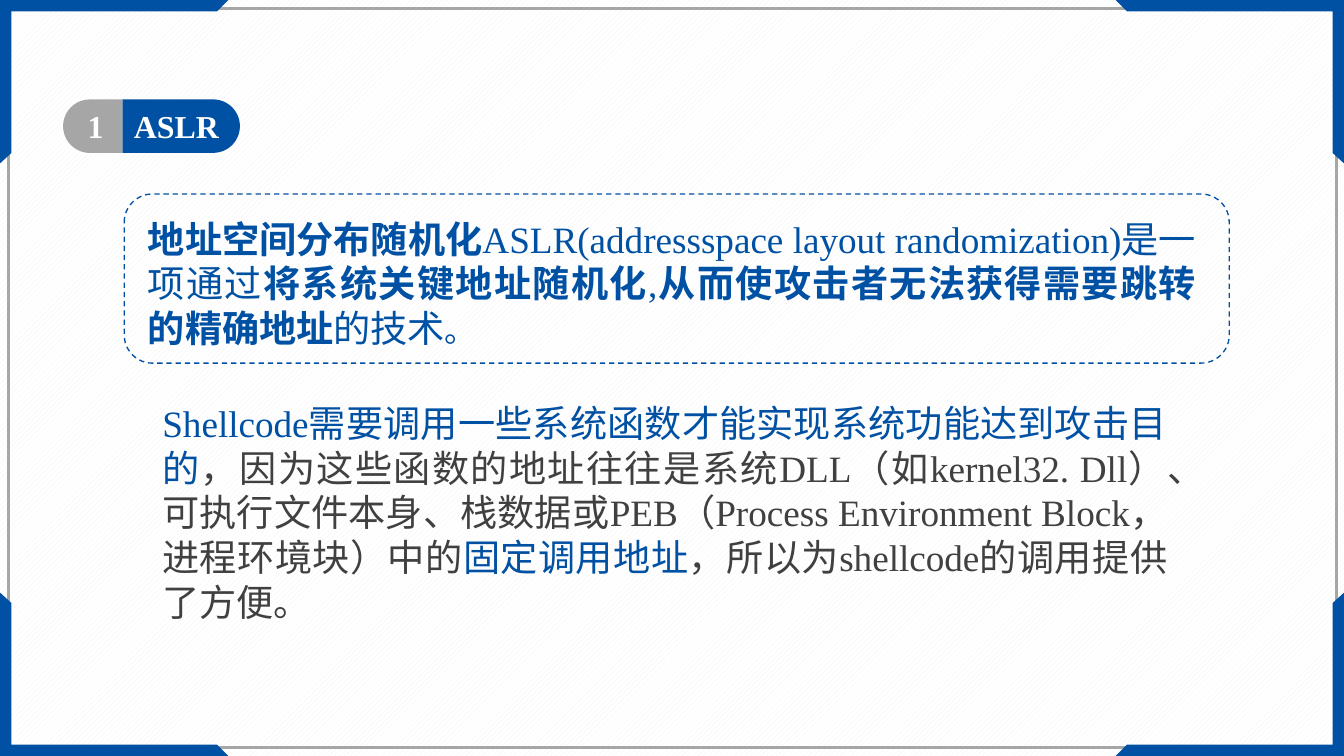
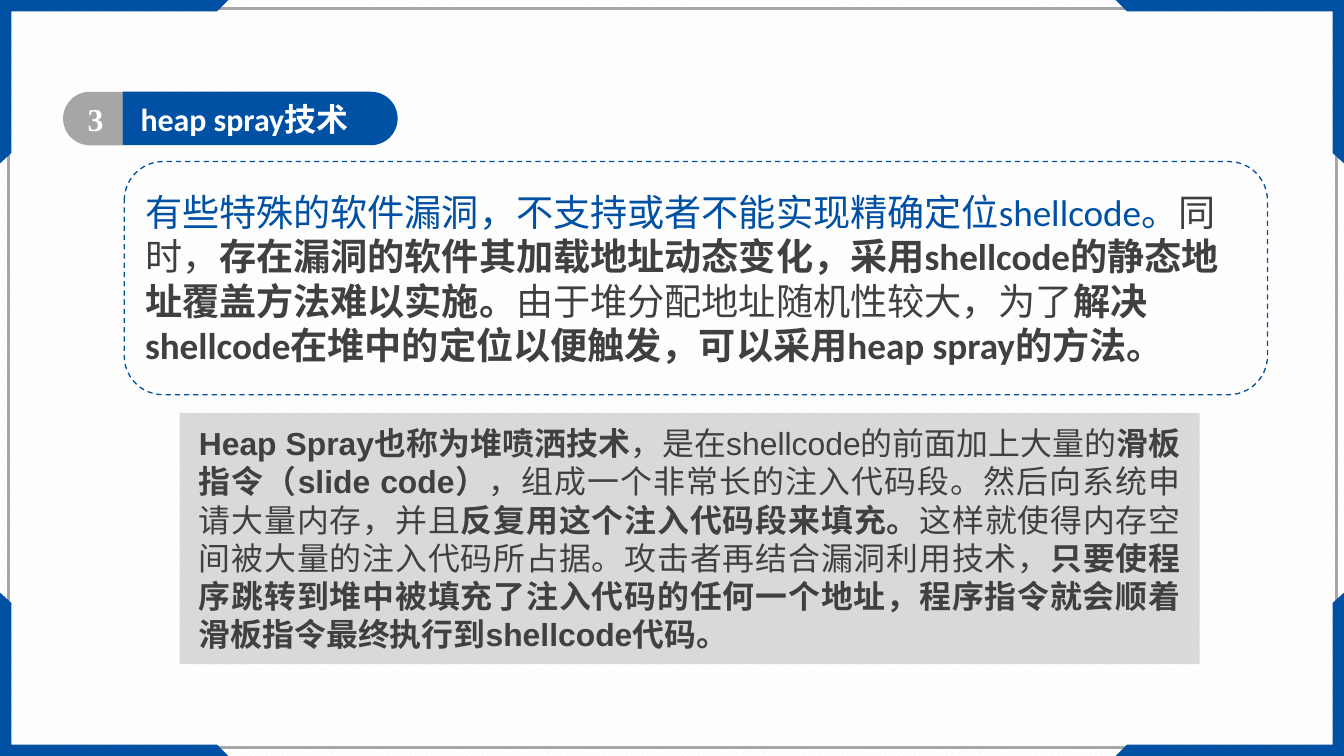
from pptx import Presentation
from pptx.dml.color import RGBColor
from pptx.enum.dml import MSO_LINE, MSO_PATTERN
from pptx.enum.lang import MSO_LANGUAGE_ID as LANGUAGE
from pptx.enum.shapes import MSO_SHAPE as SHAPE
from pptx.enum.text import MSO_ANCHOR as ANCHOR, MSO_AUTO_SIZE as AUTO_SIZE, PP_ALIGN as ALIGN
from pptx.util import Inches, Pt

WIDTH, HEIGHT = 14.06, 7.91
BLUE, GREY, LIGHT, DARK, WHITE = "0050A3", "A6A6A6", "D9D9D9", "404040", "FFFFFF"
SERIF, SANS, BODY = "Times New Roman", "Arial", "Calibri"
CORNER = [(0, 0), (2.39, 0), (2.27, 0.12), (0.12, 0.12), (0.12, 1.6), (0, 1.71)]
PILL_HEIGHT, PILL_LEFT, PILL_SPLIT = 0.56, 0.66, 1.28


def color(value):
    return RGBColor.from_string(value)


def style(shape, fill=None, line=None, weight=1, dash=None):
    shape.shadow.inherit = False
    if fill:
        shape.fill.solid()
        shape.fill.fore_color.rgb = color(fill)
    else:
        shape.fill.background()
    if line:
        shape.line.color.rgb = color(line)
        shape.line.width = Pt(weight)
        shape.line.dash_style = dash
    else:
        shape.line.fill.background()
    return shape


def add_box(slide, kind, left, top, width, height, **look):
    shape = slide.shapes.add_shape(kind, Inches(left), Inches(top), Inches(width), Inches(height))
    return style(shape, **look)


def add_run(paragraph, text, *, font, size, fill=DARK, bold=False):
    run = paragraph.add_run()
    run.text = text
    run.font.name = font
    run.font.size = Pt(size)
    run.font.bold = bold
    run.font.color.rgb = color(fill)
    run.font.language_id = LANGUAGE.SIMPLIFIED_CHINESE


def write(shape, runs, *, font, size, align=ALIGN.LEFT, inset=(0.1, 0.05), anchor=ANCHOR.MIDDLE):
    frame = shape.text_frame
    frame.word_wrap = True
    frame.vertical_anchor = anchor
    frame.margin_left = frame.margin_right = Inches(inset[0])
    frame.margin_top = frame.margin_bottom = Inches(inset[1])
    paragraph = frame.paragraphs[0]
    paragraph.alignment = align
    for text, run_format in runs:
        add_run(paragraph, text, **{"font": font, "size": size, **run_format})


def add_text(slide, runs, left, top, width, height, **text_format):
    box = slide.shapes.add_textbox(Inches(left), Inches(top), Inches(width), Inches(height))
    write(box, runs, anchor=ANCHOR.TOP, **text_format)
    box.text_frame.auto_size = AUTO_SIZE.SHAPE_TO_FIT_TEXT


def add_corner(slide, flip_x, flip_y):
    points = [(Inches(WIDTH - x if flip_x else x), Inches(HEIGHT - y if flip_y else y))
              for x, y in CORNER]
    builder = slide.shapes.build_freeform(*points[0])
    builder.add_line_segments(points[1:])
    return style(builder.convert_to_shape(), fill=BLUE)


def set_master(presentation, slide):
    master = presentation.slide_master
    fill = master.background.fill
    fill.patterned()
    fill.pattern = MSO_PATTERN.WIDE_UPWARD_DIAGONAL
    fill.fore_color.rgb = color("F2F2F2")
    fill.back_color.rgb = color(WHITE)
    frame = [add_box(slide, SHAPE.RECTANGLE, 0.09, 0.09, 13.89, 7.73, line=GREY, weight=2)]
    frame += [add_corner(slide, x, y) for x in (False, True) for y in (False, True)]
    for shape in frame:
        master.shapes.element.append(shape.element)


def add_half_pill(slide, left, right, top, rotation, fill):
    width = right - left
    shift = (width - PILL_HEIGHT) / 2
    shape = add_box(slide, SHAPE.ROUND_2_SAME_RECTANGLE, left + shift, top - shift,
                    PILL_HEIGHT, width, fill=fill)
    shape.adjustments[0] = 0.5
    shape.adjustments[1] = 0
    shape.rotation = rotation


def add_heading(slide, number, title, *, top, right, title_left, title_width, font):
    add_half_pill(slide, PILL_SPLIT, right, top, 90, BLUE)
    add_half_pill(slide, PILL_LEFT, PILL_SPLIT, top, 270, GREY)
    label = {"fill": WHITE, "bold": True}
    add_text(slide, [(title, label)], title_left, top, title_width, PILL_HEIGHT,
             font=font, size=24, inset=(0.15, 0.08))
    add_text(slide, [(number, label)], 0.7, top, 0.6, PILL_HEIGHT,
             font=SERIF, size=24, align=ALIGN.CENTER, inset=(0.15, 0.08))


def add_dashed_box(slide, top, width, height):
    return add_box(slide, SHAPE.ROUNDED_RECTANGLE, 1.3, top, width, height,
                   line=BLUE, dash=MSO_LINE.DASH)


def build_aslr(slide):
    blue, strong = {"fill": BLUE}, {"fill": BLUE, "bold": True}
    add_heading(slide, "1", "ASLR", top=1.04, right=2.51, title_left=1.25,
                title_width=1.24, font=SERIF)
    add_dashed_box(slide, 2.03, 11.56, 1.77)
    add_text(slide, [
        ("地址空间分布随机化", strong),
        ("ASLR(addressspace layout randomization)是一项通过", blue),
        ("将系统关键地址随机化", strong),
        (",", blue),
        ("从而使攻击者无法获得需要跳转的精确地址", strong),
        ("的技术", blue),
        ("。", {"fill": BLUE, "size": 24}),
    ], 1.45, 2.21, 11.16, 1.51, font=SERIF, size=28, align=ALIGN.JUSTIFY)
    add_text(slide, [
        ("Shellcode需要调用一些系统函数才能实现系统功能达到攻击目的", blue),
        ("，因为这些函数的地址往往是系统DLL（如kernel32. Dll）、可执行文件本身、栈数据或PEB"
         "（Process Environment Block，进程环境块）中的", {}),
        ("固定调用地址", blue),
        ("，所以为shellcode的调用提供了方便。", {}),
    ], 1.6, 4.14, 10.71, 2.45, font=SERIF, size=28, align=ALIGN.JUSTIFY)


def build_heap_spray(slide):
    strong = {"bold": True}
    add_heading(slide, "3", "heap spray技术", top=0.96, right=4.16, title_left=1.32,
                title_width=2.61, font=BODY)
    problem = add_dashed_box(slide, 1.69, 11.96, 2.44)
    write(problem, [
        ("有些特殊的软件漏洞，不支持或者不能实现精确定位shellcode。", {"fill": BLUE}),
        ("同时，", {}),
        ("存在漏洞的软件其加载地址动态变化，采用shellcode的静态地址覆盖方法难以实施。", strong),
        ("由于堆分配地址随机性较大，为了", {}),
        ("解决shellcode在堆中的定位以便触发，可以采用heap spray的方法。", strong),
    ], font=BODY, size=28)
    method = add_box(slide, SHAPE.RECTANGLE, 1.88, 4.32, 10.67, 2.63, fill=LIGHT)
    write(method, [
        ("Heap Spray也称为堆喷洒技术", strong),
        ("，是在shellcode的前面加上大量的", {}),
        ("滑板指令（slide code）", strong),
        ("，组成一个非常长的注入代码段。然后向系统申请大量内存，并且", {}),
        ("反复用这个注入代码段来填充。", strong),
        ("这样就使得内存空间被大量的注入代码所占据。攻击者再结合漏洞利用技术，", {}),
        ("只要使程序跳转到堆中被填充了注入代码的任何一个地址，"
         "程序指令就会顺着滑板指令最终执行到shellcode代码。", strong),
    ], font=SANS, size=24, align=ALIGN.JUSTIFY, inset=(0.2, 0.05))


def main():
    presentation = Presentation()
    presentation.slide_width = Inches(WIDTH)
    presentation.slide_height = Inches(HEIGHT)
    blank = presentation.slide_layouts[6]
    slides = [presentation.slides.add_slide(blank) for _ in range(2)]
    set_master(presentation, slides[0])
    build_aslr(slides[0])
    build_heap_spray(slides[1])
    presentation.save("out.pptx")


if __name__ == "__main__":
    main()
